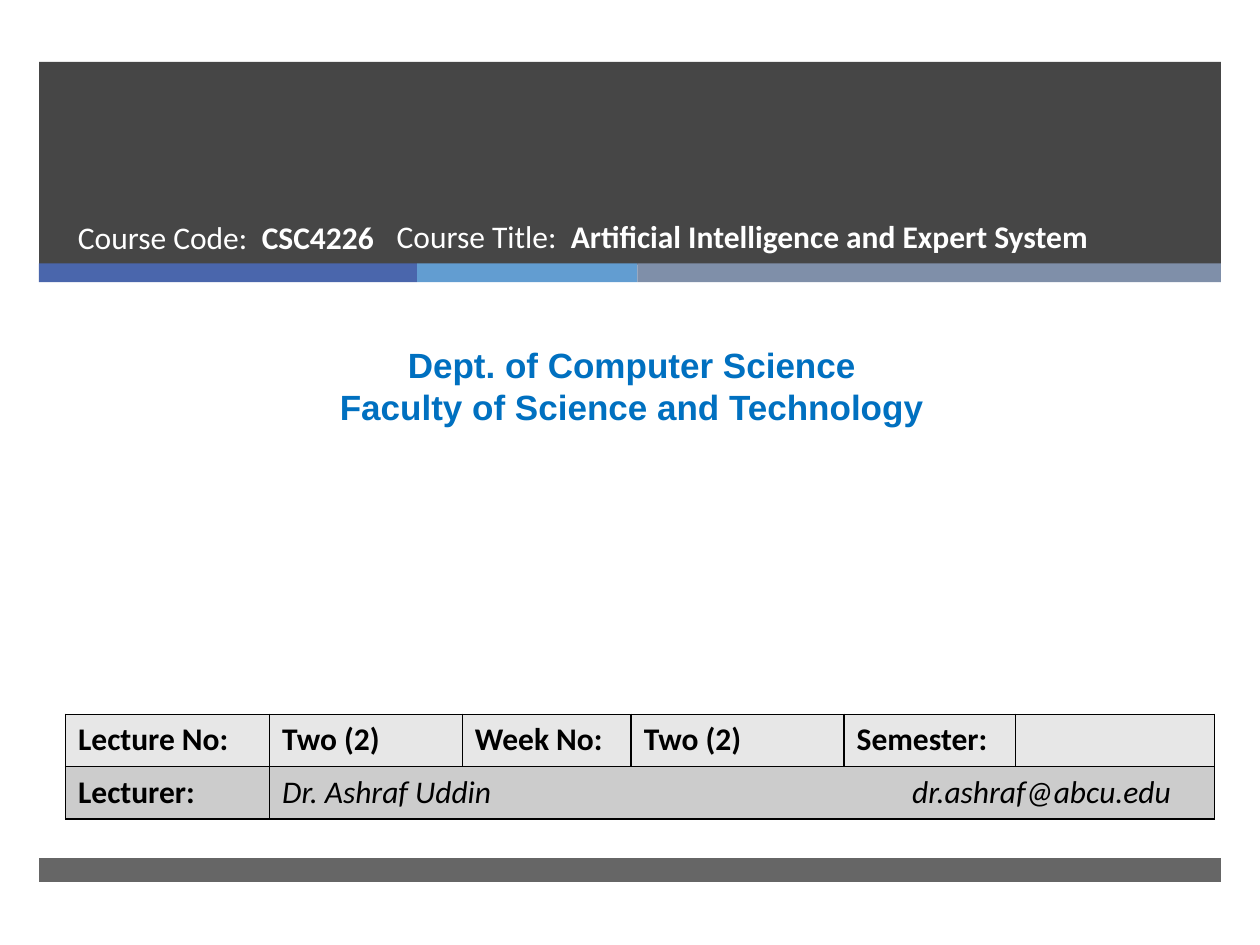
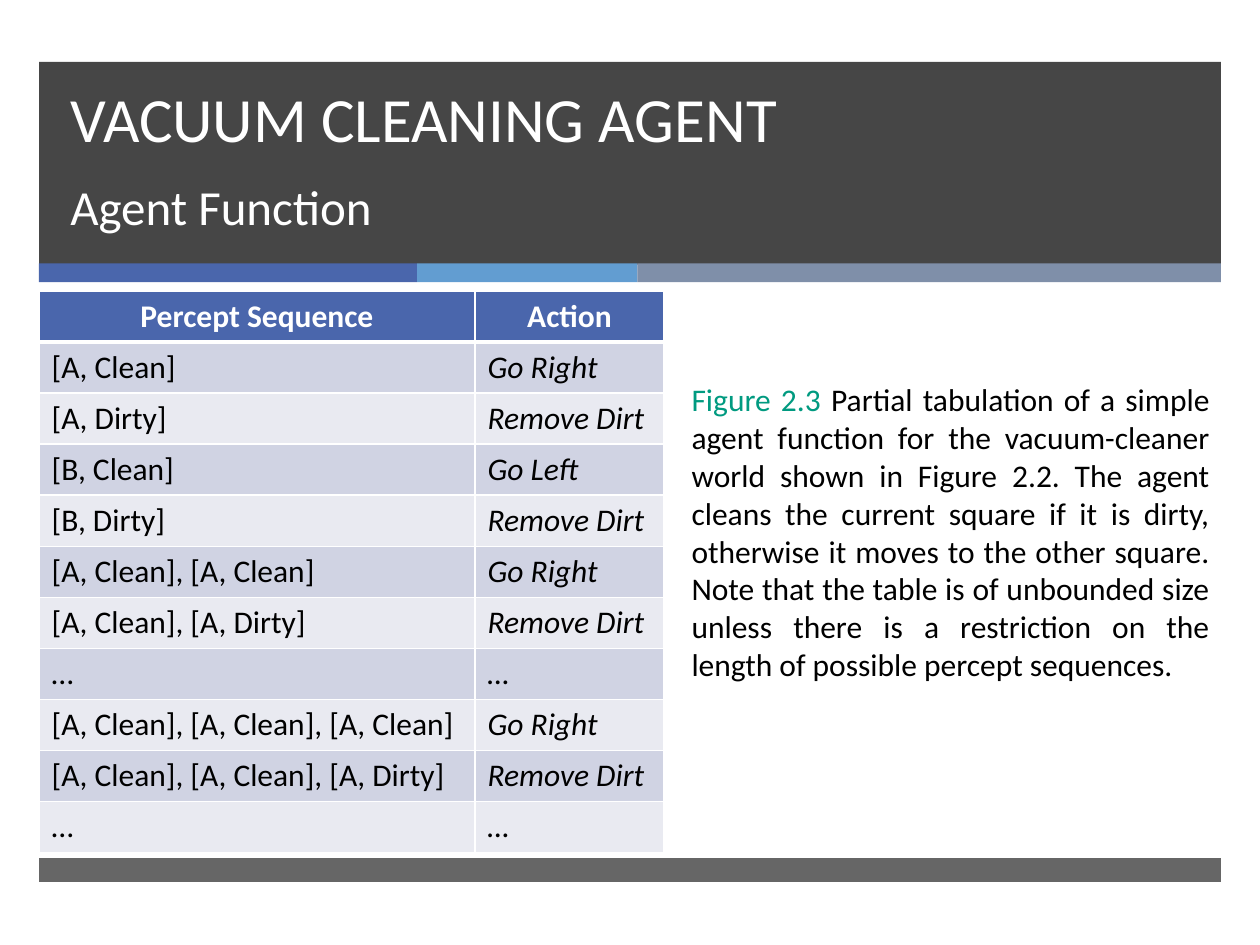
from itertools import accumulate

from lxml.etree import SubElement as Sub
from pptx import Presentation
from pptx.dml.color import RGBColor as RGB
from pptx.enum.shapes import MSO_SHAPE as Shape
from pptx.enum.text import MSO_ANCHOR as Anchor, PP_ALIGN as Align
from pptx.oxml.ns import qn
from pptx.util import Inches, Pt

HEX = {
    "dark": "262626", "blue": "4A66AC", "sky": "629DD1", "steel": "7F8FA9",
    "white": "FFFFFF", "black": "000000", "dept": "0070C0", "teal": "009A80",
    "light": "E7E7E7", "grey": "CCCCCC", "odd": "D0D3E3", "even": "E9EAF1",
}
LEFT, WIDE = 0.31, 9.38
STRIPES = [("blue", 3), ("sky", 1.75), ("steel", 4.63)]
BASE = {"name": "Calibri", "size": Pt(18)}
BOLD = {"bold": True}
ITALIC = {"italic": True}

COURSE = [
    (0.52, 1.68, 3.05, "Course Code:  ", "CSC4226"),
    (3.05, 1.67, 5.72, "Course Title:  ", "Artificial Intelligence and Expert System"),
]
LECTURE = ["Lecture No:", "Two (2)", "Week No:", "Two (2)", "Semester:", ""]
AGENT = [
    ("[A, Clean]", "Go Right"),
    ("[A, Dirty]", "Remove Dirt"),
    ("[B, Clean]", "Go Left"),
    ("[B, Dirty]", "Remove Dirt"),
    ("[A, Clean], [A, Clean]", "Go Right"),
    ("[A, Clean], [A, Dirty]", "Remove Dirt"),
    ("…", "…"),
    ("[A, Clean], [A, Clean], [A, Clean]", "Go Right"),
    ("[A, Clean], [A, Clean], [A, Dirty]", "Remove Dirt"),
    ("…", "…"),
]
CAPTION = (
    "Partial tabulation of a simple agent function for the vacuum-cleaner world "
    "shown in Figure 2.2. The agent cleans the current square if it is dirty, "
    "otherwise it moves to the other square. Note that the table is of unbounded "
    "size unless there is a restriction on the length of possible percept sequences."
)


def color(name):
    return RGB.from_string(HEX[name])


def put(item, style):
    for key, value in style.items():
        setattr(item, key, value)


def add_run(para, text, tint="black", **style):
    run = para.add_run()
    run.text = text
    put(run.font, {**BASE, **style})
    run.font.color.rgb = color(tint)


def add_bar(slide, left, top, width, height, tint, alpha=100):
    bar = slide.shapes.add_shape(
        Shape.RECTANGLE, *map(Inches, (left, top, width, height)))
    bar.shadow.inherit = False
    bar.fill.solid()
    bar.fill.fore_color.rgb = color(tint)
    bar.line.fill.background()
    if alpha < 100:
        tone = bar._element.spPr.find(qn("a:solidFill"))[0]
        Sub(tone, qn("a:alpha"), val=str(alpha * 1000))


def add_text(slide, *place, **style):
    """Add a wrapping text box and return its frame."""
    frame = slide.shapes.add_textbox(*map(Inches, place)).text_frame
    put(frame, {"word_wrap": True, **style})
    return frame


def add_slide(deck):
    """Add a blank slide with the title band, stripes and footer band."""
    slide = deck.slides.add_slide(deck.slide_layouts[6])
    add_bar(slide, LEFT, 0.49, WIDE, 1.61, "dark", 85)
    starts = accumulate((width for _, width in STRIPES), initial=LEFT)
    for left, (tint, width) in zip(starts, STRIPES):
        add_bar(slide, left, 2.09, width, 0.15, tint)
    add_bar(slide, LEFT, 6.81, WIDE, 0.19, "dark", 70)
    return slide


def add_grid(slide, left, top, cols, rows, height):
    shape = slide.shapes.add_table(
        rows, len(cols), *map(Inches, (left, top, sum(cols), height)))
    grid = shape.table
    for col, width in zip(grid.columns, cols):
        col.width = Inches(width)
    for row in grid.rows:
        row.height = Inches(height / rows)
    return grid


def fill_cell(cell, text, back, edge, tint="black", thick="", align=None, **style):
    """Fill, border and write a cell; the sides named in thick get 3 points."""
    props = cell._tc.get_or_add_tcPr()
    for side in "LRTB":
        width = Pt(3 if side in thick else 1)
        line = Sub(props, qn("a:ln" + side), w=str(width))
        paint = Sub(line, qn("a:solidFill"))
        Sub(paint, qn("a:srgbClr"), val=HEX[edge])
    cell.fill.solid()
    cell.fill.fore_color.rgb = color(back)
    para = cell.text_frame.paragraphs[0]
    para.alignment = align
    add_run(para, text, tint, **style)


def add_stop(para, inches):
    stops = Sub(para._p.get_or_add_pPr(), qn("a:tabLst"))
    Sub(stops, qn("a:tab"), pos=str(Inches(inches)), algn="l")


def add_cover(deck):
    slide = add_slide(deck)
    for left, top, width, label, value in COURSE:
        para = add_text(slide, left, top, width, 0.53).paragraphs[0]
        add_run(para, label, "white")
        add_run(para, value, "white", **BOLD)

    frame = add_text(slide, 0.08, 2.68, 9.87, 0.77)
    first, second = frame.paragraphs[0], frame.add_paragraph()
    for para, text in ((first, "Dept. of Computer Science"),
                       (second, "Faculty of Science and Technology")):
        put(para, {"alignment": Align.CENTER, "line_spacing": Pt(24)})
        add_run(para, text, "dept", name="Arial", size=Pt(20), **BOLD)

    cols = [1.62, 1.53, 1.34, 1.69, 1.36, 1.58]
    grid = add_grid(slide, 0.52, 5.67, cols, 2, 0.83)
    for col, text in enumerate(LECTURE):
        fill_cell(grid.cell(0, col), text, "light", "black", **BOLD)
    fill_cell(grid.cell(1, 0), "Lecturer:", "grey", "black", **BOLD)
    name = grid.cell(1, 1)
    name.merge(grid.cell(1, 5))
    add_stop(name.text_frame.paragraphs[0], 5)
    fill_cell(name, "Dr. Ashraf Uddin\tdr.ashraf@abcu.edu", "grey", "black", **ITALIC)
    for col in range(2, 6):
        fill_cell(grid.cell(1, col), "", "grey", "black")


def add_agent(deck):
    slide = add_slide(deck)
    frame = add_text(slide, 0.46, 0.73, 8.54, 1.19, vertical_anchor=Anchor.BOTTOM)
    title = frame.paragraphs[0]
    title.line_spacing = Pt(46)
    add_run(title, "VACUUM CLEANING AGENT", "white", size=Pt(36))
    title.add_line_break()
    add_run(title, "Agent Function", "white", size=Pt(28))

    grid = add_grid(slide, LEFT, 2.31, [3.46, 1.5], len(AGENT) + 1, 4.46)
    for col, text in enumerate(("Percept Sequence", "Action")):
        fill_cell(grid.cell(0, col), text, "blue", "white", "white",
                  thick="B", align=Align.CENTER, **BOLD)
    for row, texts in enumerate(AGENT, 1):
        back = "odd" if row % 2 else "even"
        for col, text in enumerate(texts):
            fill_cell(grid.cell(row, col), text, back, "white",
                      thick="T" if row == 1 else "", bold=False, italic=col == 1)

    para = add_text(slide, 5.39, 2.97, 4.31, 2.52).paragraphs[0]
    para.alignment = Align.JUSTIFY
    add_run(para, "Figure 2.3 ", "teal")
    add_run(para, CAPTION)


def main():
    deck = Presentation()
    put(deck, {"slide_width": Inches(10), "slide_height": Inches(7.5)})
    add_cover(deck)
    add_agent(deck)
    deck.save("out.pptx")


if __name__ == "__main__":
    main()
